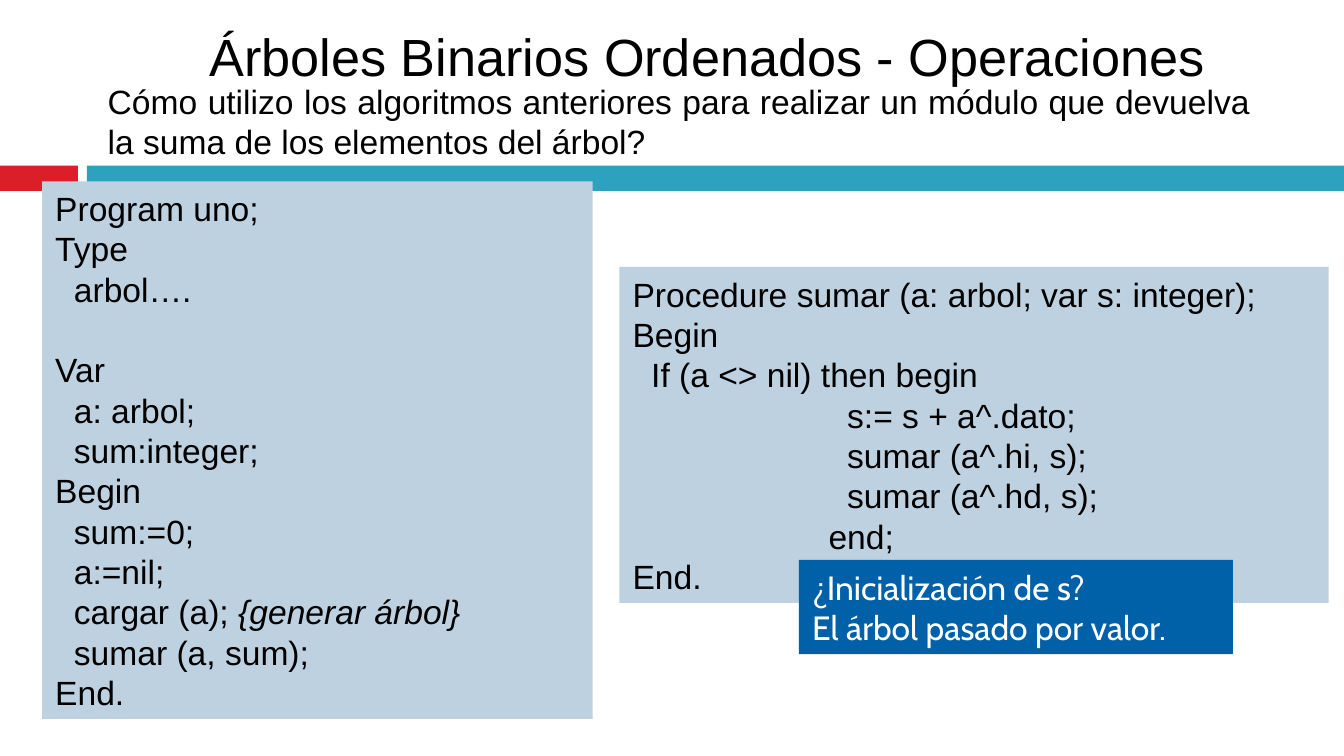
from dataclasses import dataclass

from pptx import Presentation
from pptx.dml.color import RGBColor
from pptx.enum.shapes import MSO_SHAPE
from pptx.enum.text import MSO_ANCHOR, MSO_AUTO_SIZE, PP_ALIGN
from pptx.oxml.ns import qn
from pptx.util import Pt

RECTANGLE = MSO_SHAPE.RECTANGLE
TOP, MIDDLE = MSO_ANCHOR.TOP, MSO_ANCHOR.MIDDLE
LEFT, JUSTIFY = PP_ALIGN.LEFT, PP_ALIGN.JUSTIFY
NO_AUTOFIT = MSO_AUTO_SIZE.NONE


@dataclass(frozen=True)
class Theme:
    black: str = "000000"
    white: str = "FFFFFF"
    red: str = "DA1F28"
    teal: str = "2DA2BF"
    pale_blue: str = "BED1E0"
    deep_blue: str = "0060A8"
    main_font: str = "Arial"
    note_font: str = "Cabin"
    title_size: float = 28
    body_size: float = 18
    line_height: float = 21.6


@dataclass(frozen=True)
class Box:
    left: float
    top: float
    width: float
    height: float


@dataclass(frozen=True)
class Line:
    text: str
    indent: float = 0
    before: float = 0
    comment: str = ""


@dataclass(frozen=True)
class Panel:
    box: Box
    fill: str
    lines: tuple[Line, ...] = ()
    font: str = "Arial"
    color: str = "000000"


THEME = Theme()
STEP = 10
BLOCK_END = 105
BLOCK = BLOCK_END + STEP

TITLE = Line("Árboles Binarios Ordenados - Operaciones")
QUESTION = Line(
    "Cómo utilizo los algoritmos anteriores para realizar un módulo "
    "que devuelva la suma de los elementos del árbol?"
)
PROGRAM = (
    Line("Program uno;"),
    Line("Type"),
    Line("arbol….", STEP),
    Line("Var", before=THEME.line_height),
    Line("a: arbol;", STEP),
    Line("sum:integer;", STEP),
    Line("Begin"),
    Line("sum:=0;", STEP),
    Line("a:=nil;", STEP),
    Line("cargar (a); ", STEP, comment="{generar árbol}"),
    Line("sumar (a, sum);", STEP),
    Line("End."),
)
PROCEDURE = (
    Line("Procedure sumar (a: arbol; var s: integer);"),
    Line("Begin"),
    Line("If (a <> nil) then begin", STEP),
    Line("s:= s + a^.dato;", BLOCK),
    Line("sumar (a^.hi, s);", BLOCK),
    Line("sumar (a^.hd, s);", BLOCK),
    Line("end;", BLOCK_END),
    Line("End."),
)
NOTE = (Line("¿Inicialización de s?"), Line("El árbol pasado por valor."))
PANELS = (
    Panel(Box(0, 88.8, 41.8, 13.5), THEME.red),
    Panel(Box(46.6, 88.8, 673.4, 13.5), THEME.teal),
    Panel(Box(22.5, 97.2, 295, 288), THEME.pale_blue, PROGRAM),
    Panel(Box(331.8, 143, 380, 180), THEME.pale_blue, PROCEDURE),
    Panel(Box(428, 300, 232.5, 50.5), THEME.deep_blue, NOTE, THEME.note_font, THEME.white),
)


def set_attributes(target: object, values: dict) -> None:
    for name, value in values.items():
        setattr(target, name, value)


def place(shape, box: Box) -> None:
    names = ("left", "top", "width", "height")
    set_attributes(shape, {name: Pt(getattr(box, name)) for name in names})


def write_lines(shape, lines: tuple[Line, ...], font: str, color: str, size: float,
                alignment=JUSTIFY, anchor=TOP, line_height: float | None = None) -> None:
    frame = shape.text_frame
    set_attributes(frame, {
        "word_wrap": True, "auto_size": NO_AUTOFIT, "vertical_anchor": anchor,
        "margin_left": Pt(7.2), "margin_right": Pt(7.2),
        "margin_top": Pt(3.6), "margin_bottom": Pt(3.6),
    })
    for index, line in enumerate(lines):
        paragraph = frame.add_paragraph() if index else frame.paragraphs[0]
        set_attributes(paragraph, {
            "alignment": alignment, "space_before": Pt(line.before), "space_after": Pt(0),
            "line_spacing": Pt(line_height) if line_height else 1.0,
        })
        properties = paragraph._p.get_or_add_pPr()
        properties.set("marL", str(Pt(line.indent)))
        properties.set("indent", "0")
        properties.append(properties.makeelement(qn("a:buNone"), {}))
        for text, italic in ((line.text, False), (line.comment, True)):
            if text:
                run = paragraph.add_run()
                run.text = text
                set_attributes(run.font, {"name": font, "size": Pt(size), "italic": italic})
                run.font.color.rgb = RGBColor.from_string(color)


def draw_panel(slide, panel: Panel) -> None:
    shape = slide.shapes.add_shape(RECTANGLE, 0, 0, 0, 0)
    place(shape, panel.box)
    shape.shadow.inherit = False
    shape.fill.solid()
    shape.fill.fore_color.rgb = RGBColor.from_string(panel.fill)
    shape.line.fill.background()
    if panel.lines:
        write_lines(shape, panel.lines, panel.font, panel.color, THEME.body_size,
                    line_height=THEME.line_height)


def build() -> None:
    presentation = Presentation()
    set_attributes(presentation, {"slide_width": Pt(720), "slide_height": Pt(405)})
    slide = presentation.slides.add_slide(presentation.slide_layouts[1])
    title, question = slide.placeholders
    place(title, Box(105, 3, 578, 54))
    write_lines(title, (TITLE,), THEME.main_font, THEME.black, THEME.title_size, LEFT, MIDDLE)
    place(question, Box(50.5, 39.5, 626.5, 50.5))
    write_lines(question, (QUESTION,), THEME.main_font, THEME.black, THEME.body_size,
                line_height=THEME.line_height)
    for panel in PANELS:
        draw_panel(slide, panel)
    presentation.save("out.pptx")


build()
